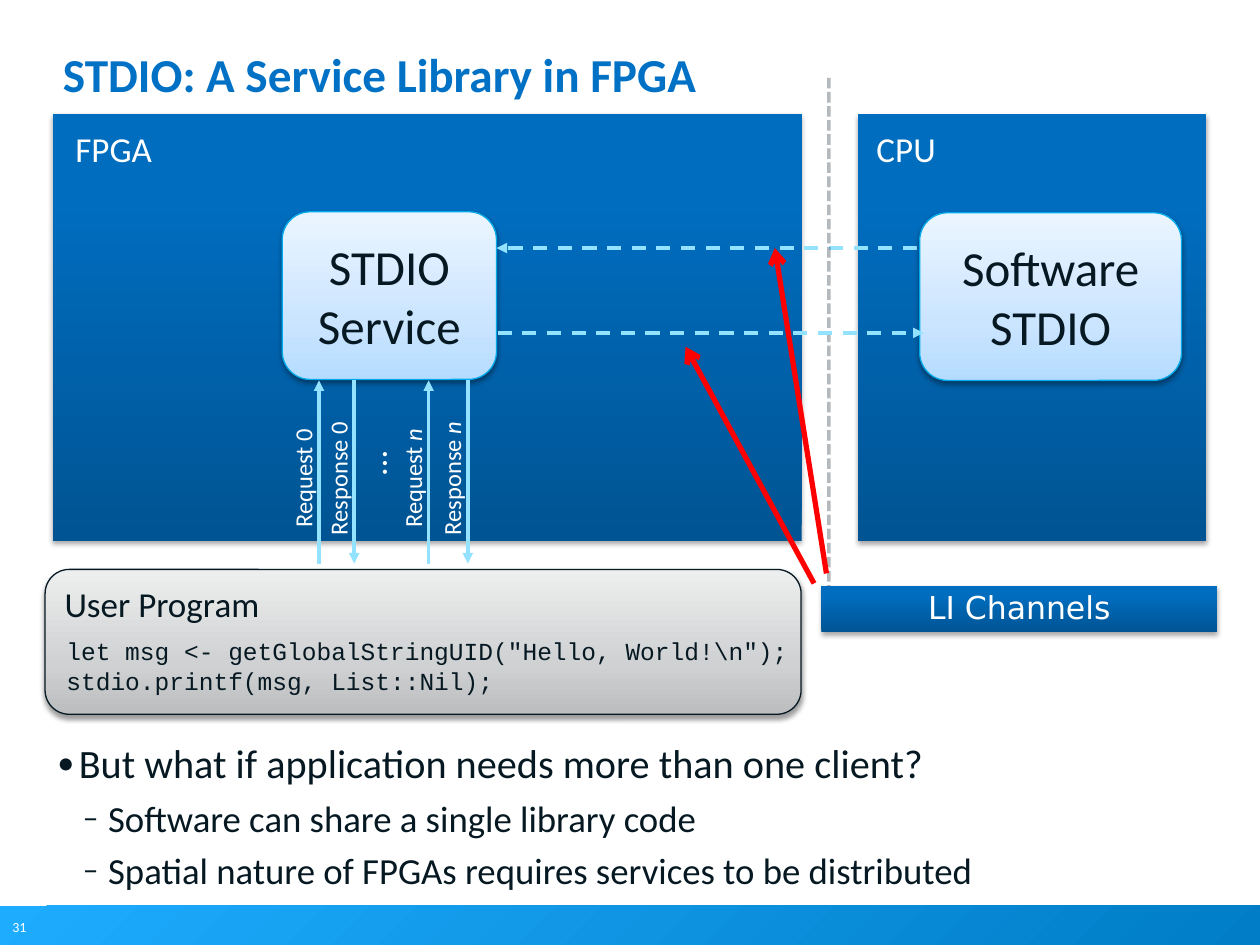
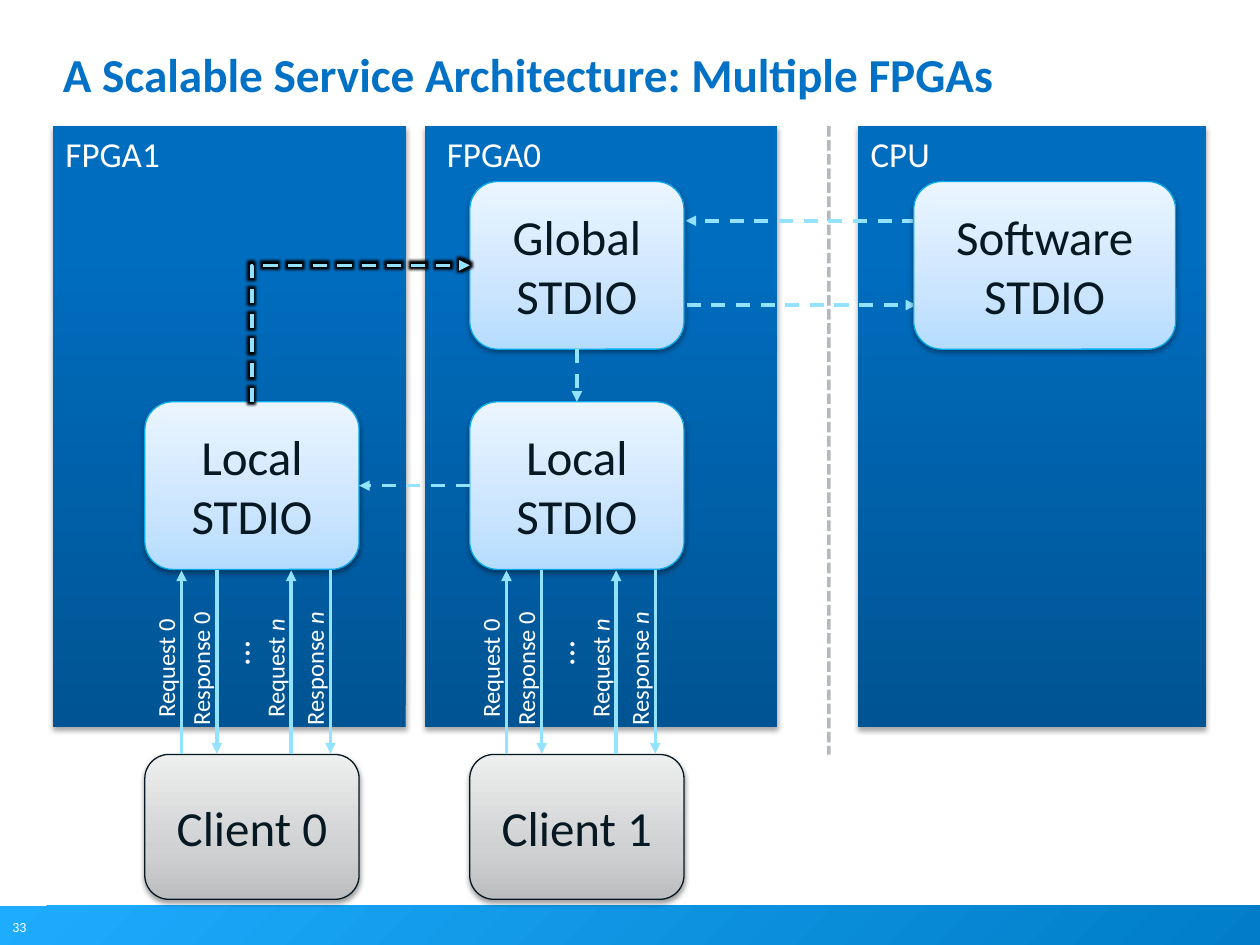
from dataclasses import dataclass
from typing import Optional

from lxml import etree
from pptx import Presentation
from pptx.dml.color import RGBColor
from pptx.enum.dml import MSO_LINE
from pptx.enum.shapes import MSO_CONNECTOR, MSO_SHAPE
from pptx.enum.text import MSO_ANCHOR, PP_ALIGN
from pptx.oxml.ns import qn
from pptx.util import Cm, Pt

RECTANGLE, ROUNDED = MSO_SHAPE.RECTANGLE, MSO_SHAPE.ROUNDED_RECTANGLE
STRAIGHT, ELBOW = MSO_CONNECTOR.STRAIGHT, MSO_CONNECTOR.ELBOW
DASH, SQUARE_DOT = MSO_LINE.DASH, MSO_LINE.SQUARE_DOT
TOP, MIDDLE = MSO_ANCHOR.TOP, MSO_ANCHOR.MIDDLE
LEFT, CENTER = PP_ALIGN.LEFT, PP_ALIGN.CENTER
TOP_SITE, LEFT_SITE, BOTTOM_SITE, RIGHT_SITE = range(4)

WHITE = RGBColor(0xFF, 0xFF, 0xFF)
BLACK = RGBColor(0x00, 0x00, 0x00)
INK = RGBColor(0x06, 0x19, 0x22)
TITLE_BLUE = RGBColor(0x00, 0x71, 0xC5)
EDGE_BLUE = RGBColor(0x00, 0xAA, 0xEA)
ARROW_BLUE = RGBColor(0x93, 0xE2, 0xFF)
RED = RGBColor(0xFF, 0x00, 0x00)
BAND_START = RGBColor(0x1E, 0xAC, 0xFF)
BAND_END = RGBColor(0x00, 0x7D, 0xC6)
PANEL_DARK = RGBColor(0x00, 0x54, 0x93)
PANEL_MID = RGBColor(0x00, 0x6D, 0xBF)
PANEL_LIGHT = RGBColor(0x00, 0x6E, 0xC0)
BLUE_DARK = RGBColor(0xB5, 0xDC, 0xFF)
BLUE_MID = RGBColor(0xCB, 0xE5, 0xFF)
BLUE_LIGHT = RGBColor(0xEB, 0xF5, 0xFF)
GREY_DARK = RGBColor(0xBC, 0xBD, 0xBE)
GREY_MID = RGBColor(0xD0, 0xD1, 0xD2)
GREY_LIGHT = RGBColor(0xED, 0xEE, 0xEE)


@dataclass(frozen=True)
class Look:
    stops: tuple
    edge: Optional[RGBColor] = None
    angle: int = 90
    shadow_alpha: int = 0
    shadow_distance: float = 0


@dataclass(frozen=True)
class Box:
    left: float
    top: float
    width: float
    height: float


@dataclass(frozen=True)
class Panel:
    box: Box
    label: str
    label_right: float = 0
    label_down: float = 0


@dataclass(frozen=True)
class Port:
    label: str
    right: float
    upward: bool
    italic_tail: str = ""


BAND_LOOK = Look(((0, BAND_START), (100, BAND_END)), angle=315)
PANEL_LOOK = Look(((0, PANEL_DARK), (80, PANEL_MID), (100, PANEL_LIGHT)), None, 90, 35, 1.8)
SERVICE_LOOK = Look(((0, BLUE_DARK), (35, BLUE_MID), (100, BLUE_LIGHT)), EDGE_BLUE, 90, 38, 1.6)
CLIENT_LOOK = Look(((0, GREY_DARK), (35, GREY_MID), (100, GREY_LIGHT)), INK, 90, 38, 1.6)

PORTS = (
    Port("Request 0", 0.74, True),
    Port("Response 0", 1.45, False),
    Port("Request ", 2.95, True, "n"),
    Port("Response ", 3.74, False, "n"),
)
SERVICE_WIDTH, SERVICE_HEIGHT, SOFTWARE_WIDTH = 4.32, 3.38, 5.28
CLIENT_HEIGHT = 2.92
DIVIDER_X = 16.71


def write(shape, text: str, *, size: float, color=INK, font="Calibri", bold=False,
          align=LEFT, anchor=TOP, wrap=True, inset=True, spacing=None, before=None,
          italic_tail=""):
    frame = shape.text_frame
    frame.word_wrap = wrap
    frame.vertical_anchor = anchor
    if not inset:
        frame.margin_left = frame.margin_right = frame.margin_top = frame.margin_bottom = 0
    for index, line in enumerate(text.split("\n")):
        para = frame.add_paragraph() if index else frame.paragraphs[0]
        para.alignment = align
        if spacing:
            para.line_spacing = spacing
        if before:
            para.space_before = before
        for words, italic in ((line, False), (italic_tail, True)):
            if words:
                span = para.add_run()
                span.text = words
                span.font.size = Pt(size)
                span.font.name = font
                span.font.bold = bold
                span.font.italic = italic
                span.font.color.rgb = color
    return shape


def add_text(page, box: Box, text: str, **text_format):
    shape = page.shapes.add_textbox(Cm(box.left), Cm(box.top), Cm(box.width), Cm(box.height))
    return write(shape, text, **text_format)


def add_color(parent, color: RGBColor, alpha: int = 100) -> None:
    node = etree.SubElement(parent, qn("a:srgbClr"), val=str(color))
    if alpha < 100:
        etree.SubElement(node, qn("a:alpha"), val=str(alpha * 1000))


def add_box(page, kind, box: Box, look: Look):
    shape = page.shapes.add_shape(kind, Cm(box.left), Cm(box.top), Cm(box.width), Cm(box.height))
    shape.fill.gradient()
    shape.fill.gradient_angle = look.angle
    properties = shape._element.spPr
    stops = properties.find(".//" + qn("a:gsLst"))
    for stop in list(stops):
        stops.remove(stop)
    for position, color in look.stops:
        add_color(etree.SubElement(stops, qn("a:gs"), pos=str(position * 1000)), color)
    if look.edge is None:
        shape.line.fill.background()
    else:
        shape.line.color.rgb = look.edge
        shape.line.width = Pt(0.75)
    shape.shadow.inherit = False
    if look.shadow_alpha:
        shadow = etree.SubElement(
            properties.find(qn("a:effectLst")), qn("a:outerShdw"), blurRad=str(Pt(3.1)),
            dist=str(Pt(look.shadow_distance)), dir="5400000", rotWithShape="0")
        add_color(shadow, BLACK, look.shadow_alpha)
    return shape


def add_line(page, start: tuple, end: tuple, *, color=ARROW_BLUE, width=2.0, dash=None,
             arrow: Optional[str] = "triangle", alpha=100, kind=STRAIGHT):
    line = page.shapes.add_connector(kind, *(Cm(value) for value in (*start, *end)))
    line.line.color.rgb = color
    line.line.width = Pt(width)
    if dash:
        line.line.dash_style = dash
    properties = line._element.spPr
    outline = properties.find(qn("a:ln"))
    if alpha < 100:
        shade = outline.find(".//" + qn("a:srgbClr"))
        etree.SubElement(shade, qn("a:alpha"), val=str(alpha * 1000))
    if arrow:
        etree.SubElement(outline, qn("a:tailEnd"), type=arrow)
    etree.SubElement(properties, qn("a:effectLst"))
    return line


def join(page, source, source_site: int, target, target_site: int) -> None:
    line = add_line(page, (0, 0), (1, 1), dash=DASH)
    line.begin_connect(source, source_site)
    line.end_connect(target, target_site)


def add_glowing_turn(page, start: tuple, end: tuple) -> None:
    middle_x, middle_y = (start[0] + end[0]) / 2, (start[1] + end[1]) / 2
    half_width, half_height = (start[1] - end[1]) / 2, (end[0] - start[0]) / 2
    turn = add_line(page, (middle_x + half_width, middle_y + half_height),
                    (middle_x - half_width, middle_y - half_height), dash=DASH, kind=ELBOW)
    properties = turn._element.spPr
    properties.find(qn("a:xfrm")).set("rot", "5400000")
    properties.find(qn("a:prstGeom")).set("prst", "bentConnector2")
    glow = etree.SubElement(properties.find(qn("a:effectLst")), qn("a:glow"), rad=str(Pt(3)))
    add_color(glow, BLACK)


def add_panel(page, panel: Panel) -> None:
    add_box(page, RECTANGLE, panel.box, PANEL_LOOK)
    label_box = Box(panel.box.left + panel.label_right, panel.box.top + panel.label_down, 5.23, 1.12)
    add_text(page, label_box, panel.label, size=20, color=WHITE)


def add_service(page, text: str, left: float, top: float, width: float = SERVICE_WIDTH):
    shape = add_box(page, ROUNDED, Box(left, top, width, SERVICE_HEIGHT), SERVICE_LOOK)
    return write(shape, text, size=28, align=CENTER, anchor=MIDDLE)


def add_turned_text(page, center_x: float, center_y: float, width: float, height: float,
                    text: str, **text_format) -> None:
    box = Box(center_x - width / 2, center_y - height / 2, width, height)
    add_text(page, box, text, color=WHITE, wrap=False, **text_format).rotation = 270


def add_ports(page, left: float, service_top: float) -> None:
    bottom = service_top + SERVICE_HEIGHT
    for port in PORTS:
        x = left + port.right
        ends = ((x, bottom + 3.71), (x, bottom + 0.02))
        add_line(page, *(ends if port.upward else ends[::-1]))
        add_turned_text(page, x - 0.32, bottom + 1.98, 2.52 if port.upward else 2.82, 0.86,
                        port.label, size=14, italic_tail=port.italic_tail)
    add_turned_text(page, left + 1.84, bottom + 1.68, 0.99, 1.12, "…", size=20)


def add_divider(page, top: float, bottom: float) -> None:
    add_line(page, (DIVIDER_X, top), (DIVIDER_X, bottom), color=INK, dash=SQUARE_DOT,
             arrow=None, alpha=30)


def add_bullets(page, box: Box, items: tuple) -> None:
    shape = add_text(page, box, "\n".join(text for _, text in items), size=21)
    for para, (level, _) in zip(shape.text_frame.paragraphs, items):
        main = level == 0
        para.level = level
        para.space_before = Pt(11 if main else 5)
        para.runs[0].font.size = Pt(23 if main else 21)
        properties = para._p.get_or_add_pPr()
        properties.set("marL", str(Cm(0.43 if main else 1.02)))
        properties.set("indent", str(Cm(-0.51)))
        add_color(etree.SubElement(properties, qn("a:buClr")), INK)
        etree.SubElement(properties, qn("a:buSzPct"), val="85000")
        etree.SubElement(properties, qn("a:buFont"), typeface="Calibri")
        etree.SubElement(properties, qn("a:buChar"), char="•" if main else "–")


def start_page(deck, title: str, number: int):
    page = deck.slides.add_slide(deck.slide_layouts[6])
    add_box(page, RECTANGLE, Box(0, 18.26, 25.4, 0.79), BAND_LOOK)
    add_text(page, Box(0, 18.39, 0.79, 0.61), str(number), size=8, color=WHITE, wrap=False)
    add_text(page, Box(1.27, 1.14, 22.86, 2.46), title, size=27, color=TITLE_BLUE, bold=True,
             inset=False, spacing=Pt(26))
    return page


def build_library_page(deck) -> None:
    page = start_page(deck, "STDIO: A Service Library in FPGA", 31)
    add_panel(page, Panel(Box(17.3, 2.29, 7.01, 8.61), "CPU", 0.12, 0.15))
    add_panel(page, Panel(Box(1.07, 2.29, 15.09, 8.61), "FPGA", 0.2, 0.15))
    add_service(page, "STDIO\nService", 5.69, 4.27)
    program = add_box(page, ROUNDED, Box(0.91, 11.48, 15.24, CLIENT_HEIGHT), CLIENT_LOOK)
    write(program, "User Program", size=20)
    add_ports(page, 5.69, 4.27)
    add_line(page, (19.48, 5), (10.01, 5), dash=DASH)
    add_divider(page, 1.57, 12.4)
    add_bullets(page, Box(0.91, 14.76, 22.86, 3.5), (
        (0, "But what if application needs more than one client?"),
        (1, "Software can share a single library code"),
        (1, "Spatial nature of FPGAs requires services to be distributed"),
    ))
    add_service(page, "Software\nSTDIO", 18.54, 4.29, SOFTWARE_WIDTH)
    add_line(page, (10.03, 6.71), (18.62, 6.71), dash=DASH)
    add_text(page, Box(1.09, 12.7, 18.54, 2.06),
             'let msg <- getGlobalStringUID("Hello, World!\\n");\nstdio.printf(msg, List::Nil);',
             size=14, font="Courier New")
    for start, end in (((16.41, 11.76), (13.82, 6.99)), ((16.66, 11.56), (15.62, 5))):
        add_line(page, start, end, color=RED, width=3, arrow="arrow")
    channels = add_box(page, RECTANGLE, Box(16.56, 11.81, 7.98, 0.94), PANEL_LOOK)
    write(channels, "LI Channels", size=18, color=WHITE, font="DejaVu Sans", align=CENTER,
          spacing=0.9, before=Pt(4.5))


def build_scalable_page(deck) -> None:
    page = start_page(deck, "A Scalable Service Architecture: Multiple FPGAs", 33)
    for left, width, label, label_right in (
            (8.56, 7.11, "FPGA0", 0.2), (17.3, 7.01, "CPU", 0), (1.07, 7.11, "FPGA1", 0)):
        add_panel(page, Panel(Box(left, 2.54, width, 12.12), label, label_right))
    add_divider(page, 2.54, 15.21)
    add_line(page, (13.84, 6.15), (18.47, 6.15), dash=DASH)
    add_line(page, (18.97, 4.45), (13.82, 4.45), dash=DASH)
    locals_by_column = []
    for index, left in enumerate((2.92, 9.47)):
        locals_by_column.append(add_service(page, "Local\nSTDIO", left, 8.1))
        client = add_box(page, ROUNDED, Box(left, 15.21, SERVICE_WIDTH, CLIENT_HEIGHT), CLIENT_LOOK)
        write(client, f"Client {index}", size=28, align=CENTER, anchor=MIDDLE)
        add_ports(page, left, 8.1)
    remote, near = locals_by_column
    hub = add_service(page, "Global\nSTDIO", 9.47, 3.66)
    join(page, near, LEFT_SITE, remote, RIGHT_SITE)
    join(page, hub, BOTTOM_SITE, near, TOP_SITE)
    add_glowing_turn(page, (5.08, 8.1), (9.47, 5.35))
    add_service(page, "Software\nSTDIO", 18.42, 3.66, SOFTWARE_WIDTH)


def main() -> None:
    deck = Presentation()
    deck.slide_width, deck.slide_height = Cm(25.4), Cm(19.05)
    build_library_page(deck)
    build_scalable_page(deck)
    deck.save("out.pptx")


if __name__ == "__main__":
    main()
